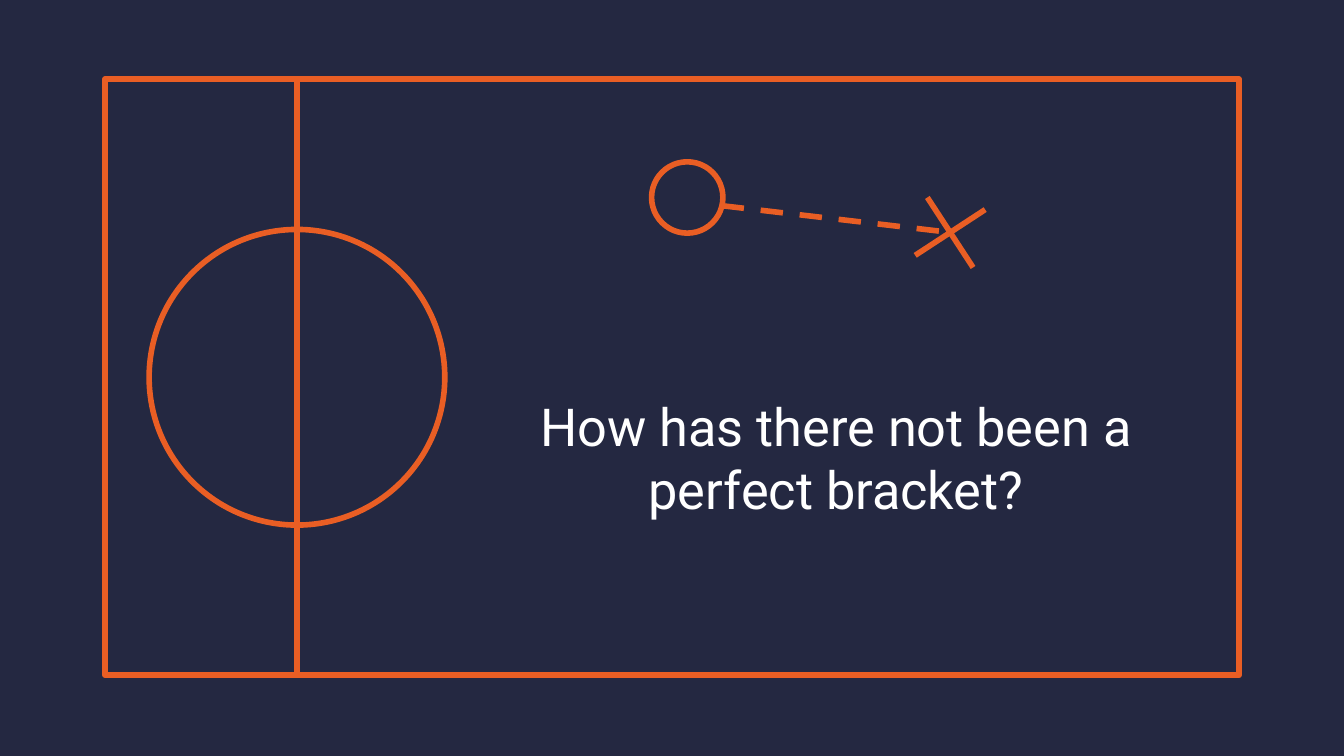
from lxml import etree
from pptx import Presentation
from pptx.dml.color import RGBColor
from pptx.enum.dml import MSO_LINE
from pptx.enum.shapes import MSO_CONNECTOR, MSO_SHAPE
from pptx.enum.text import MSO_ANCHOR, PP_ALIGN
from pptx.oxml.ns import qn
from pptx.util import Pt

RECTANGLE, OVAL = MSO_SHAPE.RECTANGLE, MSO_SHAPE.OVAL
STRAIGHT, DASH = MSO_CONNECTOR.STRAIGHT, MSO_LINE.DASH
MIDDLE, CENTER = MSO_ANCHOR.MIDDLE, PP_ALIGN.CENTER

# Content, all lengths in points
NAVY, ORANGE, WHITE = "242841", "E95E24", "FFFFFF"
LINE_WIDTH = 3
TITLE = "How has there not been a perfect bracket?"
TITLE_BOX = (265.7, 181.4, 364.3, 126.7)
COURT = (56.2, 42.5, 607.7, 319.3)
HALFWAY_X = 159.1
CENTER_CIRCLE = (HALFWAY_X, COURT[1] + COURT[3] / 2, 79.2)  # centre x, y, radius
PLAYER = (368.2, 105.8, 19.1)
CROSS = [((490.3, 136.8), (527.8, 112.3)), ((521.3, 143.3), (496.8, 105.8))]
PASS = ((386.6, 110.2), (509.8, 124.6))


def color(value):
    return RGBColor.from_string(value)


def style_line(line, dash=None):
    line.color.rgb = color(ORANGE)
    line.width = Pt(LINE_WIDTH)
    if dash is not None:
        line.dash_style = dash


def add_outline(slide, kind, box, fill=None):
    shape = slide.shapes.add_shape(kind, *map(Pt, box))
    shape.shadow.inherit = False
    if fill:
        shape.fill.solid()
        shape.fill.fore_color.rgb = color(fill)
    else:
        shape.fill.background()
    style_line(shape.line)


def add_circle(slide, circle, fill=None):
    x, y, radius = circle
    add_outline(slide, OVAL, (x - radius, y - radius, 2 * radius, 2 * radius), fill)


def add_line(slide, start, end, dash=None):
    connector = slide.shapes.add_connector(STRAIGHT, *map(Pt, (*start, *end)))
    style_line(connector.line, dash)
    etree.SubElement(connector._element.spPr, qn("a:effectLst"))


def add_text(slide, text, box, size=28, font="Roboto", fill=WHITE, align=CENTER, inset=7.2):
    frame = slide.shapes.add_textbox(*map(Pt, box)).text_frame
    frame.word_wrap = True
    frame.vertical_anchor = MIDDLE
    frame.margin_left = frame.margin_right = Pt(inset)
    frame.margin_top = frame.margin_bottom = Pt(inset)
    paragraph = frame.paragraphs[0]
    paragraph.alignment = align
    run = paragraph.add_run()
    run.text = text
    run.font.size = Pt(size)
    run.font.name = font
    run.font.color.rgb = color(fill)


def main():
    presentation = Presentation()
    presentation.slide_width, presentation.slide_height = Pt(720), Pt(405)
    slide = presentation.slides.add_slide(presentation.slide_layouts[6])
    slide.background.fill.solid()
    slide.background.fill.fore_color.rgb = color(NAVY)

    # Court
    add_outline(slide, RECTANGLE, COURT)
    add_line(slide, (HALFWAY_X, COURT[1]), (HALFWAY_X, COURT[1] + COURT[3]))
    add_circle(slide, CENTER_CIRCLE)

    # Play: player, cross and pass
    add_circle(slide, PLAYER, fill=NAVY)
    for start, end in CROSS:
        add_line(slide, start, end)
    add_line(slide, *PASS, dash=DASH)

    # Title
    add_text(slide, TITLE, TITLE_BOX)
    presentation.save("out.pptx")


if __name__ == "__main__":
    main()
